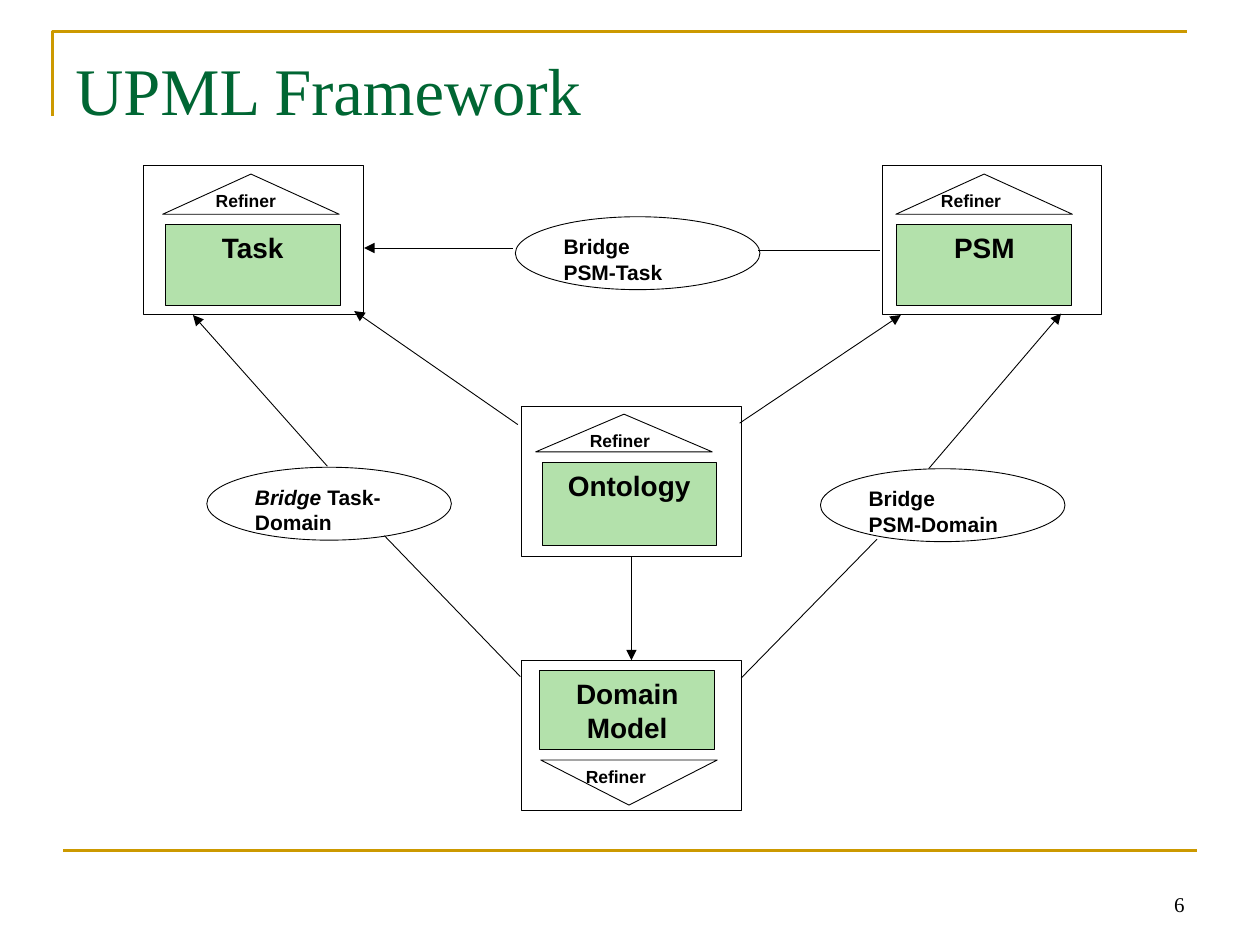
from lxml import etree
from pptx import Presentation
from pptx.dml.color import RGBColor
from pptx.enum.shapes import MSO_CONNECTOR, MSO_SHAPE
from pptx.enum.text import MSO_ANCHOR, PP_ALIGN
from pptx.oxml.ns import qn
from pptx.util import Cm, Pt

RECT, OVAL, ROOF = MSO_SHAPE.RECTANGLE, MSO_SHAPE.OVAL, MSO_SHAPE.ISOSCELES_TRIANGLE
STRAIGHT = MSO_CONNECTOR.STRAIGHT
TOP, BASE = MSO_ANCHOR.TOP, MSO_ANCHOR.BOTTOM
LEFT, MID, RIGHT = PP_ALIGN.LEFT, PP_ALIGN.CENTER, PP_ALIGN.RIGHT
SANS, SERIF = "Arial", "Times New Roman"
COLORS = {"ink": "000000", "gold": "CC9900", "title": "006633", "core": "B3E1AB"}


def color(name):
    """Return the named colour."""
    return RGBColor.from_string(COLORS[name])


def write(shape, lines, size, font=SANS, ink="ink", bold=True, align=LEFT,
          anchor=TOP, inset=(0.25, 0.13)):
    """Write one paragraph for each line, given as a list of (text, italic) runs."""
    frame = shape.text_frame
    frame.word_wrap = True
    frame.vertical_anchor = anchor
    frame.margin_left = frame.margin_right = Cm(inset[0])
    frame.margin_top = frame.margin_bottom = Cm(inset[1])
    for i, runs in enumerate(lines):
        para = frame.add_paragraph() if i else frame.paragraphs[0]
        para.alignment = align
        para.font.name, para.font.size, para.font.bold = font, Pt(size), bold
        para.font.color.rgb = color(ink)
        for text, slant in runs:
            run = para.add_run()
            run.text = text
            if slant:
                run.font.italic = True


def label(slide, box, text, size, **style):
    """Add a text box with one line."""
    write(slide.shapes.add_textbox(*map(Cm, box)), [[(text, False)]], size, **style)


def outline(slide, kind, box, fill=None):
    """Add a thinly outlined shape."""
    shape = slide.shapes.add_shape(kind, *map(Cm, box))
    shape.shadow.inherit = False
    if fill:
        shape.fill.solid()
        shape.fill.fore_color.rgb = color(fill)
    else:
        shape.fill.background()
    shape.line.color.rgb = color("ink")
    shape.line.width = Pt(0.5)
    return shape


def link(slide, start, end, arrow=False, ink="ink", width=0.5):
    """Add a straight line, with an arrowhead at its end if asked."""
    line = slide.shapes.add_connector(STRAIGHT, *map(Cm, start + end))
    line.line.color.rgb = color(ink)
    line.line.width = Pt(width)
    if arrow:
        etree.SubElement(line.line._get_or_add_ln(), qn("a:tailEnd"), type="triangle")
    etree.SubElement(line._element.spPr, qn("a:effectLst"))
    return line


def frame(slide, title, number):
    """Draw the gold rules, the title and the page number."""
    build = slide.shapes.build_freeform(Cm(1.06), Cm(2.34))
    build.add_line_segments([(Cm(1.06), Cm(0.64)), (Cm(23.93), Cm(0.64))], close=False)
    rule = build.convert_to_shape()
    rule.shadow.inherit = False
    rule.fill.background()
    rule.line.color.rgb = color("gold")
    rule.line.width = Pt(1.5)
    link(slide, (1.27, 17.15), (24.13, 17.15), ink="gold", width=1.5)
    label(slide, (1.27, 0.76, 22.23, 1.96), title, 38, font=SERIF, ink="title",
          bold=False, anchor=BASE)
    label(slide, (18.21, 17.35, 5.92, 1.27), number, 12, font=SERIF, bold=False,
          align=RIGHT, anchor=BASE)


def part(slide, left, top, name, core, roof, tag, flip=False):
    """Draw a framed component with its core, refiner triangle and tag."""
    def place(x, y, w, h):
        """Shift a box into the component."""
        return left + x, top + y, w, h

    box = outline(slide, RECT, (left, top, 4.42, 3.02))
    write(outline(slide, RECT, place(*core), "core"), [[(name, False)]], 16, align=MID)
    cap = outline(slide, ROOF, place(*roof))
    if flip:
        cap.rotation = 180
    label(slide, place(*tag, 1.96, 0.69), "Refiner", 10, inset=(0.05, 0))
    return box


def bridge(slide, left, top, lines):
    """Draw a bridge ellipse."""
    write(outline(slide, OVAL, (left, top, 4.93, 1.47)), lines, 12)


def diagram(slide):
    """Draw the components, the bridges and their links."""
    part(slide, 2.9, 3.33, "Task", (0.43, 1.19, 3.53, 1.63),
         (0.38, 0.18, 3.56, 0.81), (1.4, 0.51))
    part(slide, 17.78, 3.33, "PSM", (0.3, 1.19, 3.53, 1.63),
         (0.28, 0.18, 3.56, 0.81), (1.14, 0.51))
    onto = part(slide, 10.52, 8.2, "Ontology", (0.41, 1.12, 3.51, 1.68),
                (0.28, 0.15, 3.56, 0.76), (1.32, 0.46))
    domain = part(slide, 10.52, 13.31, "Domain Model", (0.36, 0.2, 3.53, 1.6),
                  (0.38, 2.01, 3.56, 0.91), (1.24, 2.13), flip=True)

    bridge(slide, 10.39, 4.37, [[("Bridge", False)], [("PSM-Task", False)]])
    bridge(slide, 4.17, 9.42, [[("Bridge", True), (" Task-Domain", False)]])
    bridge(slide, 16.54, 9.45, [[("Bridge", False)], [("PSM-Domain", False)]])

    for start, end, arrow in (
        ((17.73, 5.05), (15.29, 5.05), False),
        ((10.34, 5.0), (7.34, 5.0), True),
        ((10.44, 8.56), (7.14, 6.27), True),
        ((14.91, 8.53), (18.16, 6.35), True),
        ((10.49, 13.64), (7.75, 10.8), False),
        ((6.6, 9.4), (3.89, 6.35), True),
        ((14.94, 13.67), (17.68, 10.87), False),
        ((18.72, 9.45), (21.39, 6.32), True),
    ):
        link(slide, start, end, arrow)
    down = link(slide, (12.73, 11.22), (12.73, 13.31), True)
    down.begin_connect(onto, 2)
    down.end_connect(domain, 0)


def main():
    """Build the slide and save it."""
    deck = Presentation()
    deck.slide_width, deck.slide_height = Cm(25.4), Cm(19.05)
    slide = deck.slides.add_slide(deck.slide_layouts[6])
    frame(slide, "UPML Framework", "6")
    diagram(slide)
    deck.save("out.pptx")


if __name__ == "__main__":
    main()
